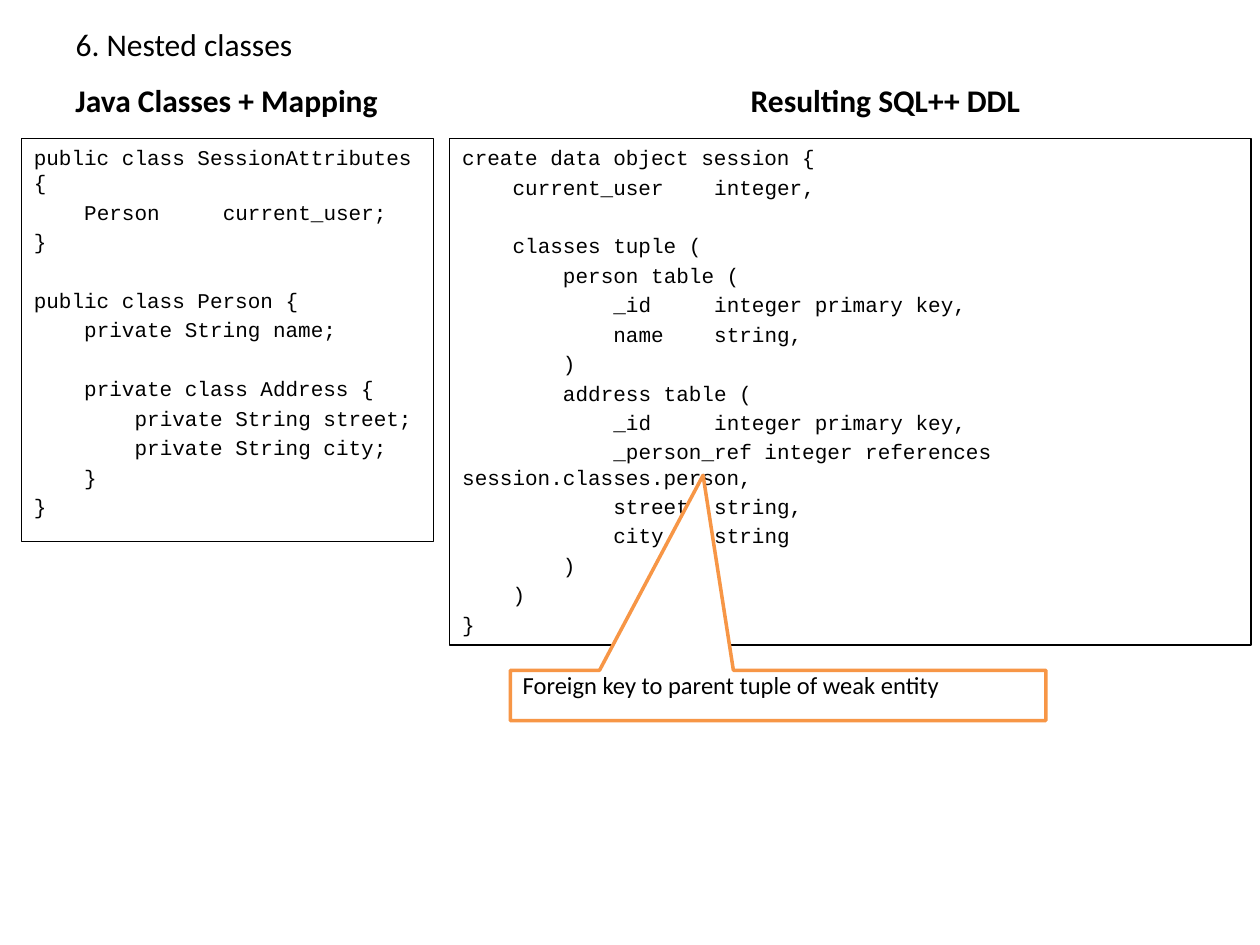
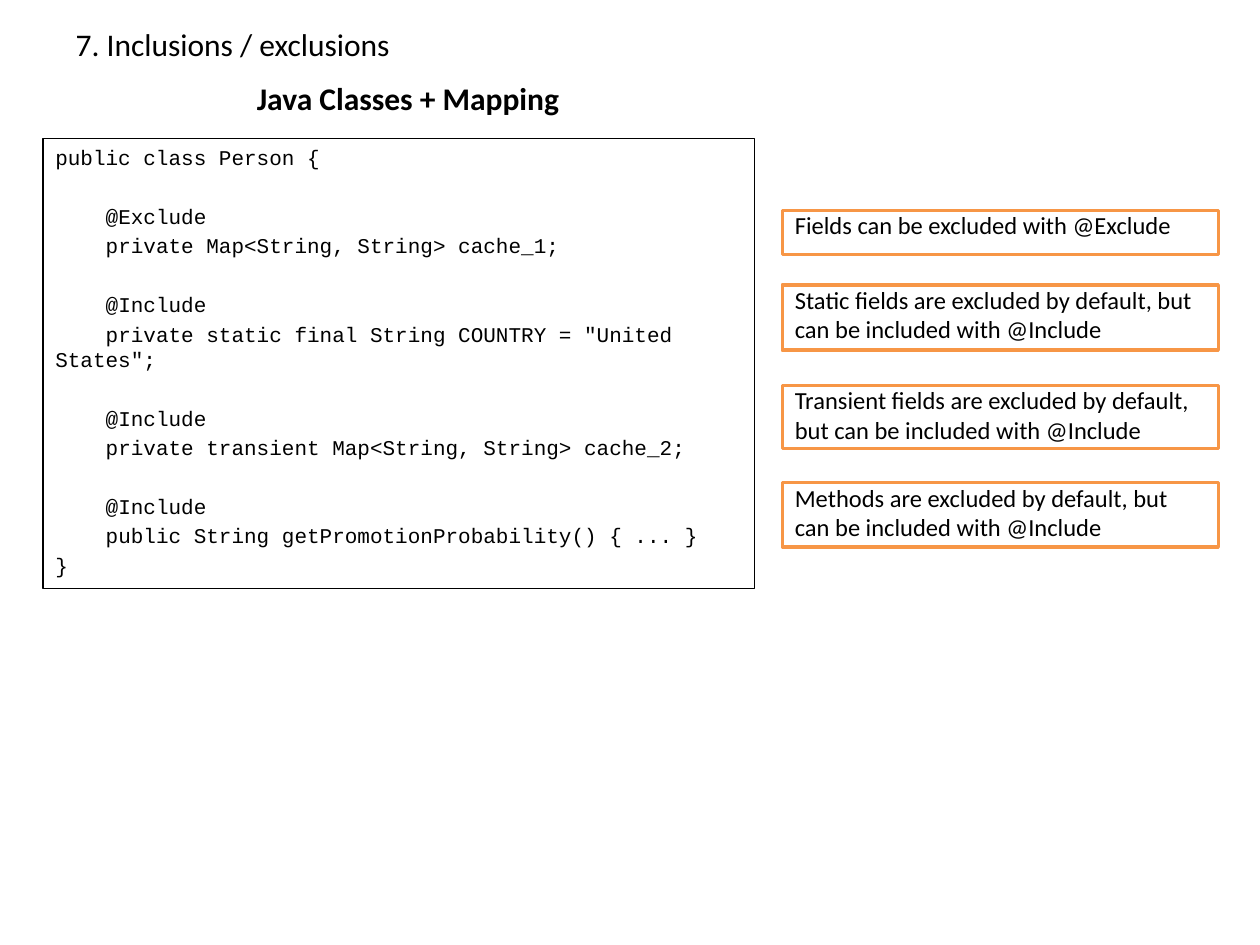
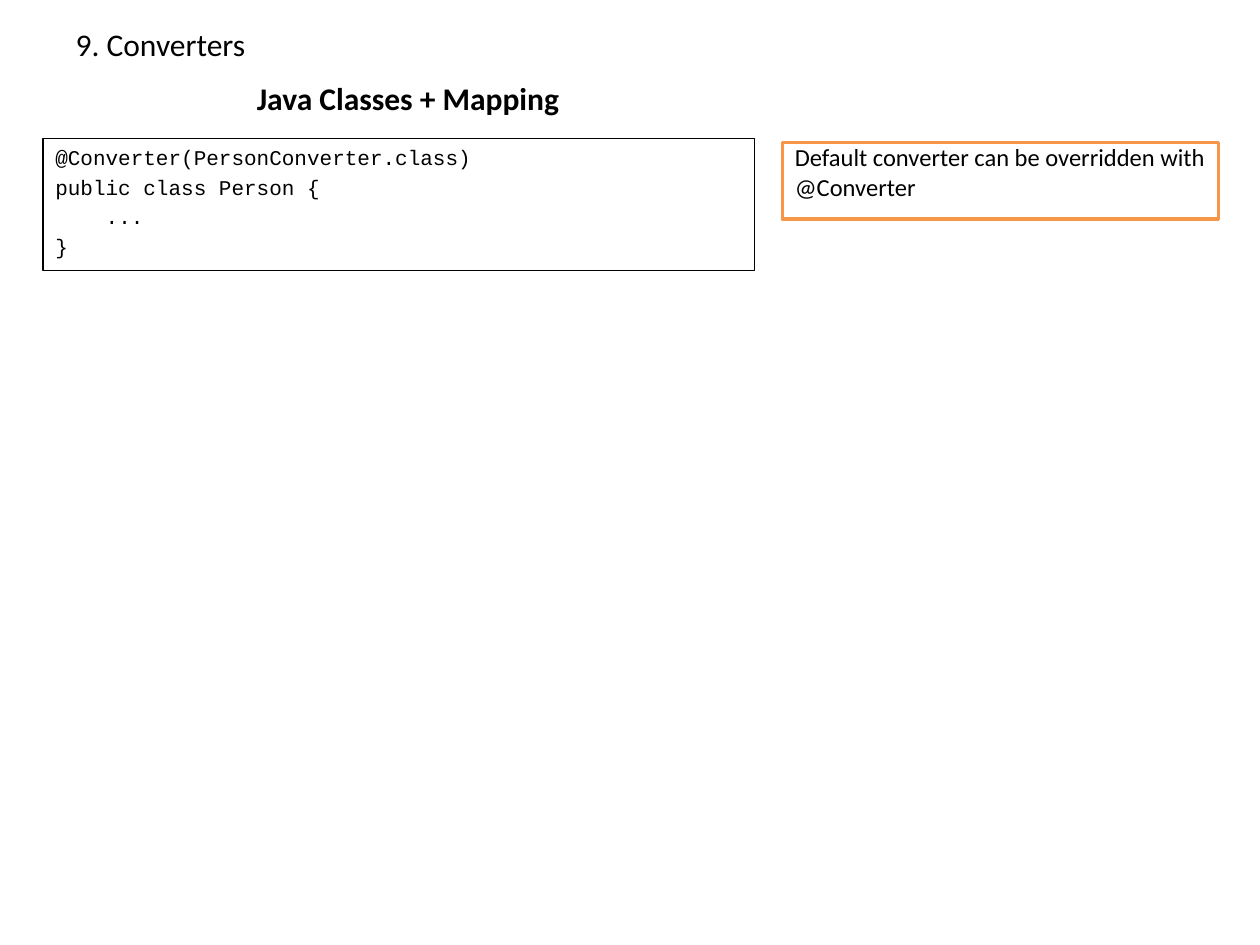
from dataclasses import dataclass

from lxml.etree import SubElement
from pptx import Presentation
from pptx.dml.color import RGBColor
from pptx.enum.shapes import MSO_SHAPE as Preset
from pptx.enum.text import MSO_ANCHOR as Anchor, MSO_AUTO_SIZE as AutoSize, PP_ALIGN as Align
from pptx.oxml.ns import qn
from pptx.util import Inches, Pt


@dataclass(frozen=True)
class Theme:
    ink: RGBColor = RGBColor.from_string("000000")
    paper: RGBColor = RGBColor.from_string("FFFFFF")
    accent: RGBColor = RGBColor.from_string("F79646")
    text_font: str = "Calibri"
    code_font: str = "Courier New"
    title_size: float = 18
    note_size: float = 14
    code_size: float = 12
    thin: float = 0.75
    thick: float = 2


THEME = Theme()

# Content: Java listings and the resulting schema
NESTED_JAVA = """\
public class SessionAttributes {
    Person  current_user;
}

public class Person {
    private String name;

    private class Address {
        private String street;
        private String city;
    }
}"""

NESTED_DDL = """\
create data object session {
    current_user  integer,

    classes tuple (
        person  table (
            _id         integer primary key,
            name        string,
        )
        address table (
            _id         integer primary key,
            _person_ref integer references session.classes.person,
            street      string,
            city        string
        )
    )
}"""

INCLUSIONS_JAVA = """\
public class Person {

    @Exclude
    private Map<String, String> cache_1;

    @Include
    private static final String COUNTRY = "United States";

    @Include
    private transient Map<String, String> cache_2;

    @Include
    public String getPromotionProbability() { ... }
}"""

CONVERTER_JAVA = """\
@Converter(PersonConverter.class)
public class Person {
    ...
}"""

# Layout in inches
TITLE_AREA = (0.5, 0.13, 9, 0.43)
CODE_TOP = 1.1
HEADING_HEIGHT = 0.4
WIDE_CODE = (0.34, 5.65)    # left, width
NOTE_COLUMN = (6.21, 3.46)  # left, width
JAVA_HEADING = ("Java Classes + Mapping", 1.94, 0.58, 2.64)

# headings: text, left, top, width; listings: code, (left, width), height
# notes: text, (left, width), top, height, pointer of the callout or None
SLIDES = [
    {
        "title": "6. Nested classes",
        "headings": [("Java Classes + Mapping", 0.5, 0.59, 2.64),
                     ("Resulting SQL++ DDL", 5.86, 0.59, 2.36)],
        "listings": [(NESTED_JAVA, (0.17, 3.27), 3.2),
                     (NESTED_DDL, (3.57, 6.36), 4.02)],
        "notes": [("Foreign key to parent tuple of weak entity",
                   (4.05, 4.25), 5.32, 0.4, (-0.14, -4.37))],
    },
    {
        "title": "7. Inclusions / exclusions",
        "headings": [JAVA_HEADING],
        "listings": [(INCLUSIONS_JAVA, WIDE_CODE, 3.57)],
        "notes": [
            ("Fields can be excluded with @Exclude", NOTE_COLUMN, 1.67, 0.35, None),
            ("Static fields are excluded by default, but can be included with @Include",
             NOTE_COLUMN, 2.26, 0.52, None),
            ("Transient fields are excluded by default, but can be included with @Include",
             NOTE_COLUMN, 3.06, 0.5, None),
            ("Methods are excluded by default, but can be included with @Include",
             NOTE_COLUMN, 3.83, 0.51, None),
        ],
    },
    {
        "title": "9. Converters",
        "headings": [JAVA_HEADING],
        "listings": [(CONVERTER_JAVA, WIDE_CODE, 1.05)],
        "notes": [("Default converter can be overridden with @Converter",
                   NOTE_COLUMN, 1.13, 0.61, None)],
    },
]

# Code metrics: a fixed-width character is 0.6 em wide
CHAR_WIDTH = Pt(THEME.code_size * 0.6)
LINE_HEIGHT = THEME.code_size * 1.2
LINE_GAP = THEME.code_size * 0.2


def set_font(paragraph, size, name=THEME.text_font, bold=False):
    font = paragraph.font
    font.name, font.size, font.bold = name, Pt(size), bold
    font.color.rgb = THEME.ink
    paragraph.alignment = Align.LEFT


def add_box(page, preset, area, line_color, line_width, fill=None):
    box = page.shapes.add_shape(preset, *map(Inches, area))
    box.shadow.inherit = False
    if fill is None:
        box.fill.background()
    else:
        box.fill.solid()
        box.fill.fore_color.rgb = fill
    box.line.color.rgb = line_color
    box.line.width = Pt(line_width)
    box.text_frame.word_wrap = True
    box.text_frame.vertical_anchor = Anchor.TOP
    return box


def add_title(page, text):
    title = page.shapes.title
    title.left, title.top, title.width, title.height = map(Inches, TITLE_AREA)
    title.text_frame.text = text
    title.text_frame.vertical_anchor = Anchor.MIDDLE
    set_font(title.text_frame.paragraphs[0], THEME.title_size)


def add_heading(page, text, left, top, width):
    box = page.shapes.add_textbox(*map(Inches, (left, top, width, HEADING_HEIGHT)))
    frame = box.text_frame
    frame.word_wrap = False
    frame.auto_size = AutoSize.SHAPE_TO_FIT_TEXT
    frame.text = text
    set_font(frame.paragraphs[0], THEME.title_size, bold=True)


def set_code_line(paragraph, line, blank_before):
    """Turn leading spaces into an indent and an inner gap into a tab stop."""
    code = line.lstrip()
    head, gap, tail = code.partition("  ")
    tail = tail.lstrip()
    paragraph.text = f"{head}\t{tail}" if gap else code
    set_font(paragraph, THEME.code_size, THEME.code_font)
    paragraph.line_spacing = Pt(LINE_HEIGHT)
    paragraph.space_before = Pt(LINE_GAP + blank_before * (LINE_HEIGHT + LINE_GAP))
    properties = paragraph._p.get_or_add_pPr()
    properties.set("marL", "0")
    properties.set("indent", str((len(line) - len(code)) * CHAR_WIDTH))
    if gap:
        stops = SubElement(properties, qn("a:tabLst"))
        column = len(line) - len(tail)
        SubElement(stops, qn("a:tab"), pos=str(column * CHAR_WIDTH), algn="l")
        # The schema wants tab stops ahead of the default run properties
        properties.find(qn("a:defRPr")).addprevious(stops)


def add_listing(page, code, column, height):
    left, width = column
    area = (left, CODE_TOP, width, height)
    frame = add_box(page, Preset.RECTANGLE, area, THEME.ink, THEME.thin).text_frame
    paragraph, blanks = frame.paragraphs[0], 0
    for number, line in enumerate(code.splitlines()):
        if not line:
            blanks += 1
            continue
        if number:
            paragraph = frame.add_paragraph()
        set_code_line(paragraph, line, blanks)
        blanks = 0


def add_note(page, text, column, top, height, pointer):
    left, width = column
    preset = Preset.RECTANGULAR_CALLOUT if pointer else Preset.RECTANGLE
    box = add_box(page, preset, (left, top, width, height),
                  THEME.accent, THEME.thick, THEME.paper)
    for index, share in enumerate(pointer or ()):
        box.adjustments[index] = share
    frame = box.text_frame
    frame.margin_top = frame.margin_bottom = 0
    frame.text = text
    set_font(frame.paragraphs[0], THEME.note_size)


# Build the deck
deck = Presentation()
deck.slide_width, deck.slide_height = Inches(10), Inches(7.5)
title_only = deck.slide_layouts.get_by_name("Title Only")

for content in SLIDES:
    page = deck.slides.add_slide(title_only)
    add_title(page, content["title"])
    for listing in content["listings"]:
        add_listing(page, *listing)
    for heading in content["headings"]:
        add_heading(page, *heading)
    for note in content["notes"]:
        add_note(page, *note)

deck.save("out.pptx")
